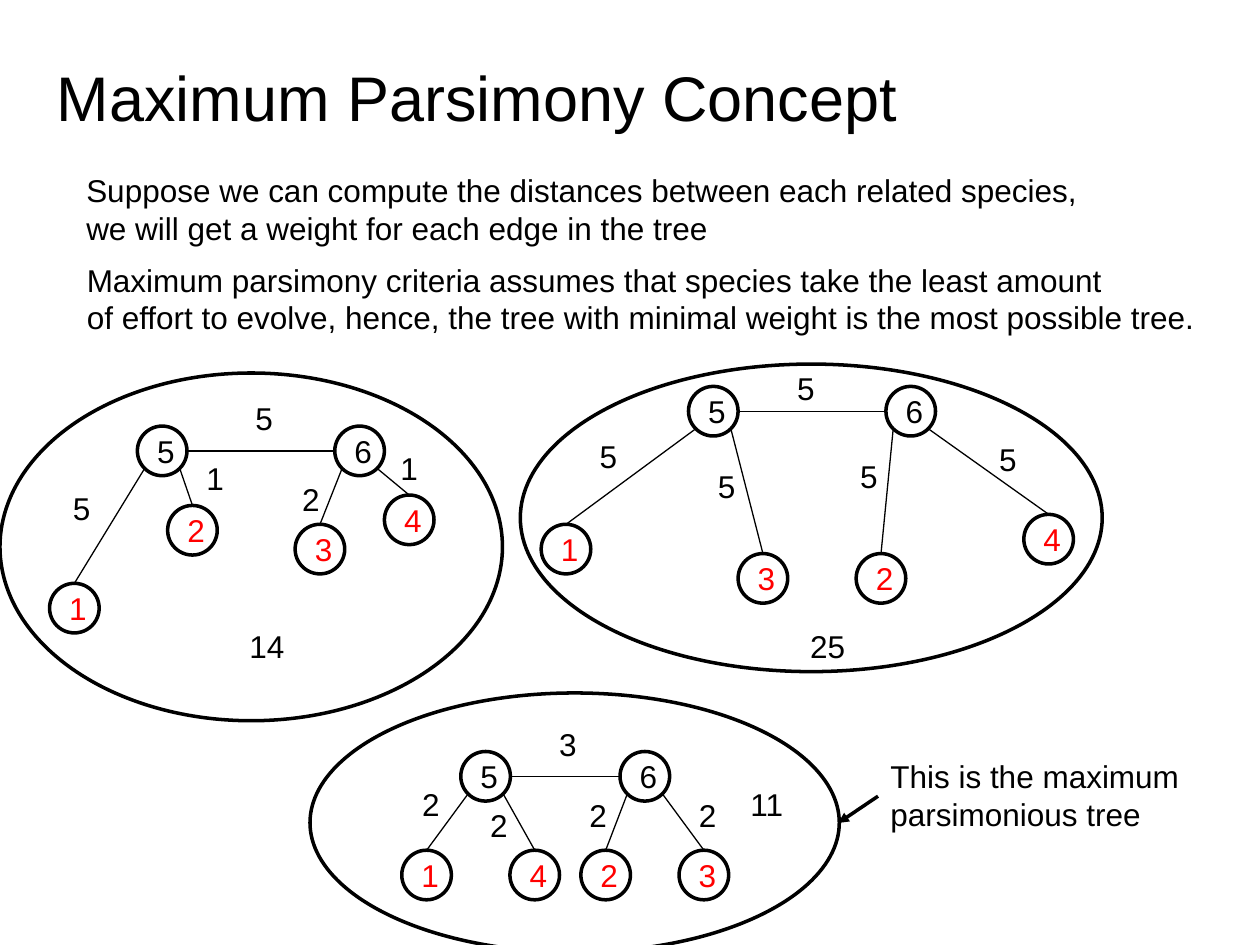
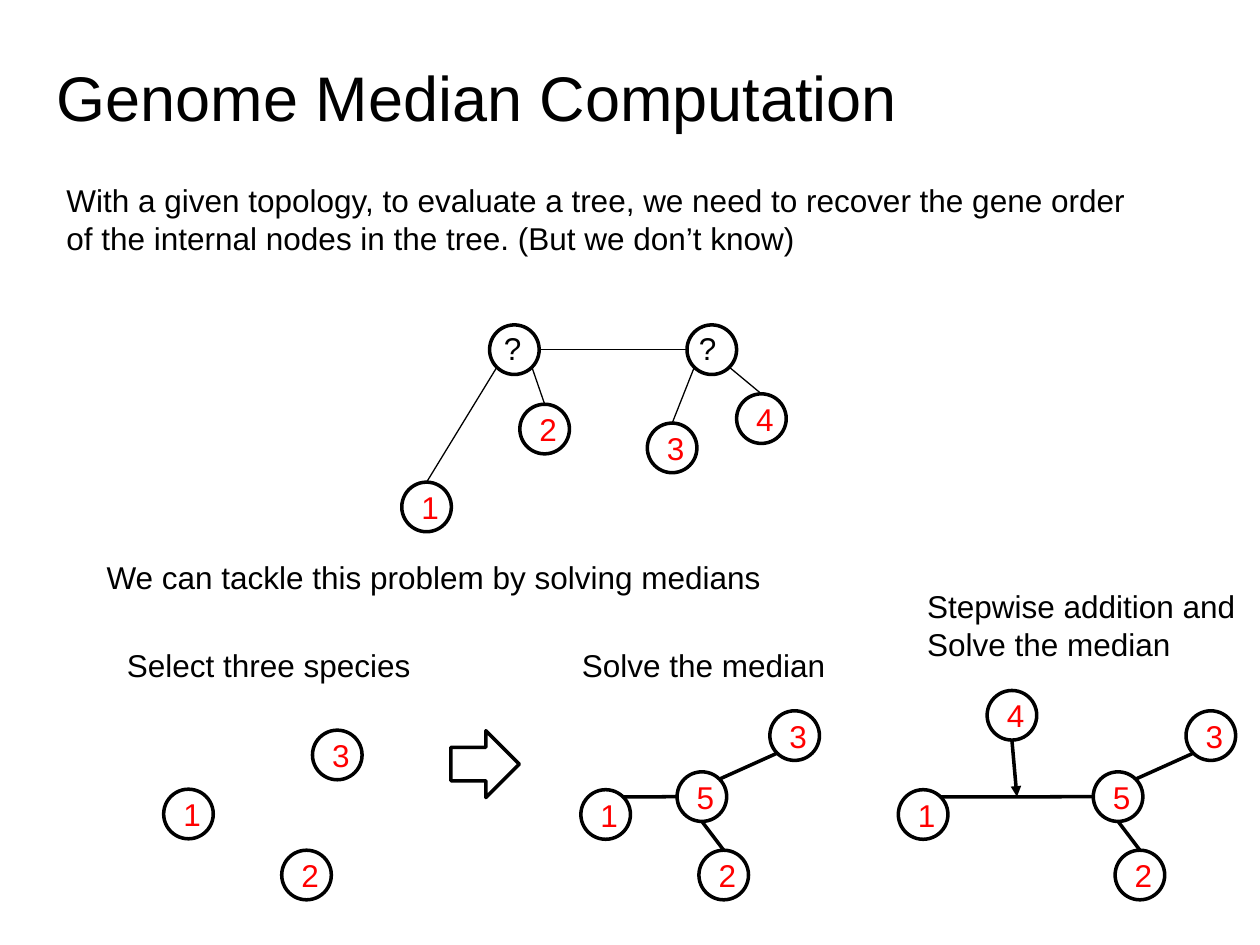
from dataclasses import dataclass
from math import sqrt
from typing import NamedTuple

from lxml import etree
from pptx import Presentation
from pptx.dml.color import RGBColor
from pptx.enum import shapes, text
from pptx.oxml import ns
from pptx.util import Cm, Pt

# Shared style
FONT = "Arial"
BLACK, WHITE, RED = "000000", "FFFFFF", "FF0000"
TITLE_SIZE, TEXT_SIZE = 36, 18
THIN, THICK = 0.75, 2
NODE_SIZE = 1.0
LINE_HEIGHT = 0.79
TEXT_PADDING = 0.23
DIAGONAL = sqrt(0.5)


class Point(NamedTuple):
    x: float
    y: float


class Box(NamedTuple):
    left: float
    top: float
    width: float
    height: float


class Label(NamedTuple):
    wording: str
    left: float
    top: float
    width: float = 0.86


@dataclass(frozen=True)
class Node:
    label: str
    left: float
    top: float
    color: str = RED

    def site(self, across: float, down: float) -> Point:
        """Point on the rim, in the given direction from the centre."""
        radius = NODE_SIZE / 2
        return Point(self.left + radius * (1 + across),
                     self.top + radius * (1 + down))

    def moved(self, across: float, down: float, label: str) -> "Node":
        return Node(label, self.left + across, self.top + down, self.color)


@dataclass(frozen=True)
class Tree:
    """Two joined inner nodes, each with a left and a right leaf."""
    inner: tuple[Node, Node]
    leaves: tuple[Node, Node, Node, Node]

    def moved(self, across: float, down: float, inner_label: str) -> "Tree":
        return Tree(
            tuple(n.moved(across, down, inner_label) for n in self.inner),
            tuple(n.moved(across, down, n.label) for n in self.leaves))


@dataclass(frozen=True)
class WeightedTree:
    tree: Tree
    outline: Box
    weights: tuple[Label, ...]


# Slide 1 content
FIRST_TREE = Tree(
    (Node("5", 2.77, 8.59, BLACK), Node("6", 6.75, 8.59, BLACK)),
    (Node("1", 1, 11.76), Node("2", 3.38, 10.19),
     Node("3", 5.95, 10.57), Node("4", 7.75, 9.98)))

WEIGHTED_TREES = (
    WeightedTree(
        FIRST_TREE, Box(0, 7.52, 10.13, 7.01),
        (Label("5", 1.22, 9.73), Label("5", 4.9, 7.92),
         Label("1", 3.91, 9.12), Label("2", 5.84, 9.55),
         Label("1", 7.82, 8.92), Label("14", 4.78, 12.52, 1.22))),
    WeightedTree(
        Tree((Node("5", 13.88, 7.79, BLACK), Node("6", 17.86, 7.79, BLACK)),
             (Node("1", 10.91, 10.57), Node("3", 14.88, 11.16),
              Node("2", 17.26, 11.16), Node("4", 20.64, 10.37))),
        Box(10.49, 7.34, 11.73, 6.2),
        (Label("5", 11.84, 8.69), Label("5", 14.22, 9.3),
         Label("5", 15.82, 7.32), Label("5", 17.09, 9.09),
         Label("5", 19.89, 8.74), Label("25", 16.08, 12.52, 1.22))),
    WeightedTree(
        Tree((Node("5", 9.29, 15.15, BLACK), Node("6", 12.5, 15.15, BLACK)),
             (Node("1", 8.1, 17.14), Node("4", 10.28, 17.14),
              Node("2", 11.71, 17.14), Node("3", 13.69, 17.14))),
        Box(6.25, 13.97, 10.67, 5.23),
        (Label("3", 11.02, 14.5), Label("2", 8.26, 15.7),
         Label("2", 9.63, 16.13), Label("2", 11.63, 15.93),
         Label("2", 13.84, 15.93), Label("11", 14.88, 15.7, 1.17))),
)

CONCEPT_TEXTS = (
    Label("Suppose we can compute the distances between each related species,\n"
          "we will get a weight for each edge in the tree", 1.49, 3.33, 20.5),
    Label("Maximum parsimony criteria assumes that species take the least amount\n"
          "of effort to evolve, hence, the tree with minimal weight is the most "
          "possible tree.", 1.5, 5.13, 22.86),
    Label("This is the maximum\nparsimonious tree", 17.7, 15.14, 6.58),
)

# Slide 2 content
MEDIAN_TEXTS = (
    Label("With a given topology, to evaluate a tree, we need to recover the "
          "gene order\nof the internal nodes in the tree. (But we don’t know)",
          1.09, 3.53, 22.05),
    Label("We can tackle this problem by solving medians", 1.9, 11.13, 14),
    Label("Select three species", 2.31, 12.9, 6.27),
    Label("Solve the median", 11.48, 12.9, 5.46),
    Label("Stepwise addition and\nSolve the median", 18.44, 11.71, 6.78),
)
UNKNOWN_LABELS = (Label("?", 9.91, 6.5), Label("?", 13.84, 6.5))
SELECTED = (Node("1", 3.3, 15.91), Node("2", 5.68, 17.14), Node("3", 6.3, 14.72))
ADDED = Node("4", 19.9, 13.92)
STEP_SHIFT = 8.39


def rgb(color: str) -> RGBColor:
    return RGBColor.from_string(color)


def add_run(paragraph, wording: str, size: float, color: str) -> None:
    run = paragraph.add_run()
    run.text = wording
    run.font.name = FONT
    run.font.size = Pt(size)
    run.font.color.rgb = rgb(color)


def add_titled_slide(presentation, wording: str):
    slide = presentation.slides.add_slide(presentation.slide_layouts[5])
    title = slide.shapes.title
    title.left, title.top = Cm(0.89), Cm(0.89)
    title.width, title.height = Cm(22.86), Cm(2.11)
    frame = title.text_frame
    frame.auto_size = text.MSO_AUTO_SIZE.NONE
    frame.vertical_anchor = text.MSO_ANCHOR.MIDDLE
    paragraph = frame.paragraphs[0]
    paragraph.alignment = text.PP_ALIGN.LEFT
    add_run(paragraph, wording, TITLE_SIZE, BLACK)
    return slide


def add_label(slide, label: Label) -> None:
    lines = label.wording.split("\n")
    height = len(lines) * LINE_HEIGHT + TEXT_PADDING
    shape = slide.shapes.add_textbox(
        *map(Cm, (label.left, label.top, label.width, height)))
    frame = shape.text_frame
    frame.word_wrap = False
    frame.auto_size = text.MSO_AUTO_SIZE.SHAPE_TO_FIT_TEXT
    for index, line in enumerate(lines):
        paragraph = frame.add_paragraph() if index else frame.paragraphs[0]
        add_run(paragraph, line, TEXT_SIZE, BLACK)


def add_outline(slide, preset, box: Box, fill: str | None = None):
    shape = slide.shapes.add_shape(preset, *map(Cm, box))
    shape.shadow.inherit = False
    if fill:
        shape.fill.solid()
        shape.fill.fore_color.rgb = rgb(fill)
    else:
        shape.fill.background()
    shape.line.color.rgb = rgb(BLACK)
    shape.line.width = Pt(THICK)
    return shape


def add_node(slide, node: Node, fill: str | None = None) -> None:
    box = Box(node.left, node.top, NODE_SIZE, NODE_SIZE)
    shape = add_outline(slide, shapes.MSO_SHAPE.OVAL, box, fill)
    if node.label:
        frame = shape.text_frame
        frame.vertical_anchor = text.MSO_ANCHOR.MIDDLE
        paragraph = frame.paragraphs[0]
        paragraph.alignment = text.PP_ALIGN.CENTER
        add_run(paragraph, node.label, TEXT_SIZE, node.color)


def add_line(slide, start: Point, end: Point, width: float,
             arrow: bool = False) -> None:
    connector = slide.shapes.add_connector(
        shapes.MSO_CONNECTOR.STRAIGHT, *map(Cm, (*start, *end)))
    connector.line.color.rgb = rgb(BLACK)
    connector.line.width = Pt(width)
    if arrow:
        line = connector.line._get_or_add_ln()
        etree.SubElement(line, ns.qn("a:tailEnd"), type="triangle")
    etree.SubElement(connector._element.spPr, ns.qn("a:effectLst"))


def add_tree(slide, tree: Tree, fill: str | None = None) -> None:
    left, right = tree.inner
    add_line(slide, left.site(1, 0), right.site(-1, 0), THIN)
    for index, leaf in enumerate(tree.leaves):
        parent = tree.inner[index // 2]
        side = DIAGONAL if index % 2 else -DIAGONAL
        add_line(slide, parent.site(side, DIAGONAL), leaf.site(0, -1), THIN)
    for node in tree.inner + tree.leaves:
        add_node(slide, node, fill)


def add_median(slide, shift: float = 0) -> None:
    """Three species joined to their median, moved right by shift."""
    first = Node("1", 11.71 + (shift and 6.4), 15.92)
    second = Node("2", 14.09 + shift, 17.14)
    third = Node("3", 15.52 + shift, 14.33)
    median = Node("5", 13.65 + shift, 15.56)
    add_line(slide, first.site(DIAGONAL, -DIAGONAL), median.site(-1, 0), THICK)
    add_line(slide, median.site(DIAGONAL, -DIAGONAL),
             third.site(-DIAGONAL, DIAGONAL), THICK)
    add_line(slide, median.site(0, 1), second.site(0, -1), THICK)
    for node in (first, second, third, median):
        add_node(slide, node)


def build_concept_slide(presentation) -> None:
    slide = add_titled_slide(presentation, "Maximum Parsimony Concept")
    for weighted in WEIGHTED_TREES:
        add_tree(slide, weighted.tree, WHITE)
        add_outline(slide, shapes.MSO_SHAPE.OVAL, weighted.outline)
        for weight in weighted.weights:
            add_label(slide, weight)
    for label in CONCEPT_TEXTS:
        add_label(slide, label)
    add_line(slide, Point(17.7, 16.05), Point(16.9, 16.59), THICK, arrow=True)


def build_median_slide(presentation) -> None:
    slide = add_titled_slide(presentation, "Genome Median Computation")
    # Tree with unknown inner nodes
    add_tree(slide, FIRST_TREE.moved(7.1, -2.04, ""))
    for label in MEDIAN_TEXTS + UNKNOWN_LABELS:
        add_label(slide, label)
    # Three steps
    for node in SELECTED:
        add_node(slide, node)
    add_outline(slide, shapes.MSO_SHAPE.RIGHT_ARROW,
                Box(9.09, 14.73, 1.38, 1.35), WHITE)
    add_median(slide)
    add_median(slide, STEP_SHIFT)
    add_node(slide, ADDED)
    add_line(slide, ADDED.site(0, 1), Point(20.5, 16.06), THICK, arrow=True)


def main() -> None:
    presentation = Presentation()
    presentation.slide_width, presentation.slide_height = Cm(25.4), Cm(19.05)
    build_concept_slide(presentation)
    build_median_slide(presentation)
    presentation.save("out.pptx")


if __name__ == "__main__":
    main()
